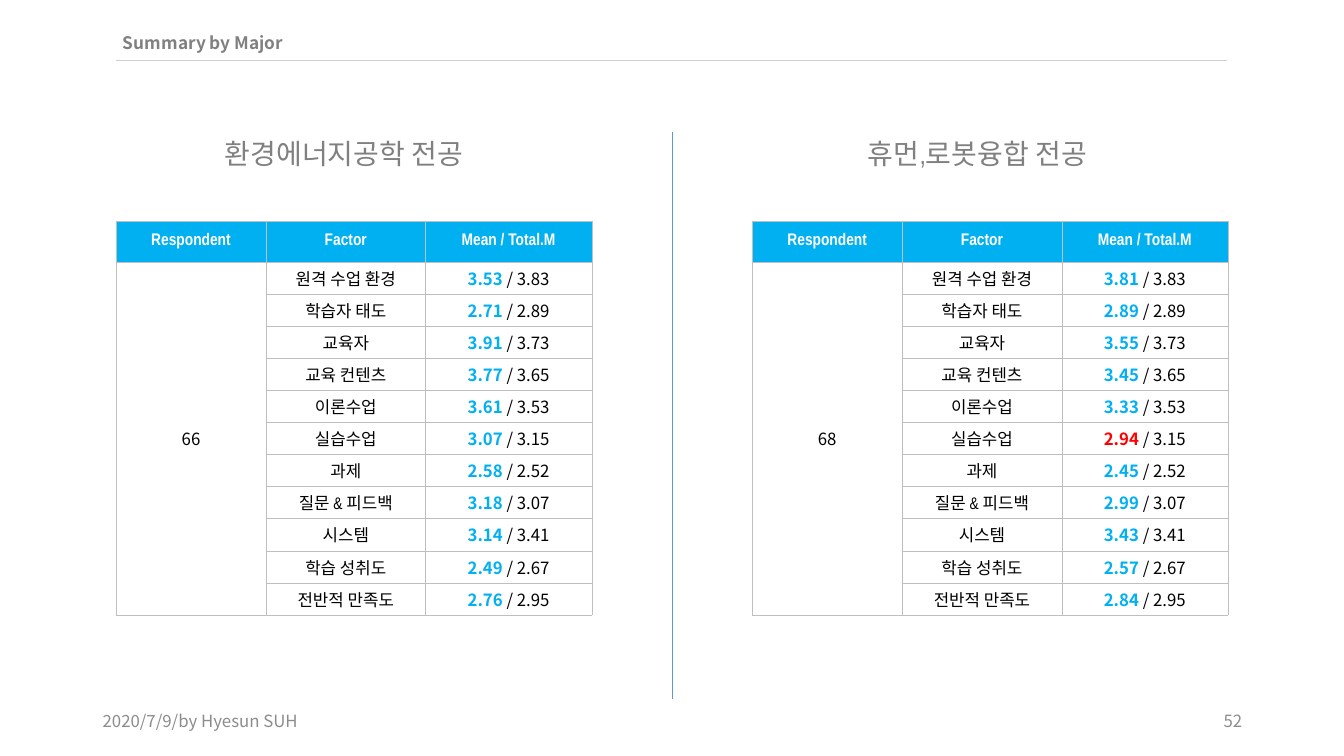
from lxml.etree import SubElement
from pptx import Presentation
from pptx.dml.color import RGBColor
from pptx.enum.shapes import MSO_CONNECTOR
from pptx.enum.text import MSO_ANCHOR, PP_ALIGN
from pptx.oxml.ns import qn
from pptx.util import Inches, Pt

WHITE = RGBColor(0xFF, 0xFF, 0xFF)
BLACK = RGBColor(0x00, 0x00, 0x00)
GRAY = RGBColor(0x80, 0x80, 0x80)
FOOTER_GRAY = RGBColor(0x8C, 0x8C, 0x8C)
RULE_GRAY = RGBColor(0xD0, 0xCE, 0xCE)
BORDER_GRAY = RGBColor(0xBF, 0xBF, 0xBF)
DIVIDER_BLUE = RGBColor(0x5B, 0x9B, 0xD5)
SKY_BLUE = RGBColor(0x00, 0xB0, 0xF0)
RED = RGBColor(0xFF, 0x00, 0x00)
SANS = "Noto Sans CJK KR"
NARROW = "Arial Narrow"

HEADINGS = ["Respondent", "Factor", "Mean / Total.M"]
COLUMN_WIDTHS = [1.49, 1.58, 1.65]
FACTORS = ["원격 수업 환경", "학습자 태도", "교육자", "교육 컨텐츠", "이론수업", "실습수업",
           "과제", "질문 & 피드백", "시스템", "학습 성취도", "전반적 만족도"]
TOTAL_MEANS = ["3.83", "2.89", "3.73", "3.65", "3.53", "3.15",
               "2.52", "3.07", "3.41", "2.67", "2.95"]
# Table left edge, respondents, factor means, means shown in red
MAJORS = [
    (1.15, "66", ["3.53", "2.71", "3.91", "3.77", "3.61", "3.07",
                  "2.58", "3.18", "3.14", "2.49", "2.76"], []),
    (7.46, "68", ["3.81", "2.89", "3.55", "3.45", "3.33", "2.94",
                  "2.45", "2.99", "3.43", "2.57", "2.84"], ["2.94"]),
]
# Left, top, width, height, text, size, font, colour, bold, alignment, anchor, side and top insets
TEXTS = [
    (1.15, 0.29, 6.7, 0.28, "Summary by Major", 12.3, SANS, GRAY, True,
     PP_ALIGN.LEFT, MSO_ANCHOR.TOP, 0.07, 0.03),
    (2.13, 1.31, 2.77, 0.44, "환경에너지공학 전공", 20, NARROW, GRAY, False,
     PP_ALIGN.LEFT, MSO_ANCHOR.TOP, 0.1, 0.05),
    (8.51, 1.31, 2.6, 0.44, "휴먼,로봇융합 전공", 20, NARROW, GRAY, False,
     PP_ALIGN.LEFT, MSO_ANCHOR.TOP, 0.1, 0.05),
    (0.92, 6.95, 3, 0.4, "2020/7/9/by Hyesun SUH", 12, SANS, FOOTER_GRAY, False,
     PP_ALIGN.LEFT, MSO_ANCHOR.MIDDLE, 0.1, 0.05),
    (9.42, 6.95, 3, 0.4, "52", 12, SANS, FOOTER_GRAY, False,
     PP_ALIGN.RIGHT, MSO_ANCHOR.MIDDLE, 0.1, 0.05),
]
LINES = [(1.15, 0.6, 12.17, 0.6, RULE_GRAY), (6.67, 6.93, 6.67, 1.31, DIVIDER_BLUE)]


def style_paragraph(para, align, size, name, color, bold):
    para.alignment = align
    para.font.size = Pt(size)
    para.font.name = name
    para.font.color.rgb = color
    para.font.bold = bold


def style_cell(cell, fill, name, color, bold):
    """Draw the cell's borders and fill, then centre and style its text."""
    properties = cell._tc.get_or_add_tcPr()
    for side in ("a:lnL", "a:lnR", "a:lnT", "a:lnB"):
        border = SubElement(properties, qn(side), w=str(Pt(0.25)))
        solid = SubElement(border, qn("a:solidFill"))
        SubElement(solid, qn("a:srgbClr"), val=str(BORDER_GRAY))
    cell.fill.solid()
    cell.fill.fore_color.rgb = fill
    cell.vertical_anchor = MSO_ANCHOR.MIDDLE
    cell.margin_top = cell.margin_bottom = Inches(0.02)
    style_paragraph(cell.text_frame.paragraphs[0], PP_ALIGN.CENTER, 12, name, color, bold)


deck = Presentation()
deck.slide_width = Inches(13.33)
deck.slide_height = Inches(7.5)
page = deck.slides.add_slide(deck.slide_layouts[6])

for left, top, width, height, text, size, name, color, bold, align, anchor, side, edge in TEXTS:
    box = page.shapes.add_textbox(Inches(left), Inches(top), Inches(width), Inches(height))
    frame = box.text_frame
    frame.word_wrap = True
    frame.vertical_anchor = anchor
    frame.margin_left = frame.margin_right = Inches(side)
    frame.margin_top = frame.margin_bottom = Inches(edge)
    frame.text = text
    style_paragraph(frame.paragraphs[0], align, size, name, color, bold)

for x1, y1, x2, y2, color in LINES:
    line = page.shapes.add_connector(
        MSO_CONNECTOR.STRAIGHT, Inches(x1), Inches(y1), Inches(x2), Inches(y2))
    line.line.color.rgb = color
    line.line.width = Pt(0.5)
    SubElement(line._element.spPr, qn("a:effectLst"))

for left, respondents, means, low_means in MAJORS:
    table = page.shapes.add_table(
        len(FACTORS) + 1, len(HEADINGS), Inches(left), Inches(2.19),
        Inches(sum(COLUMN_WIDTHS)), Inches(3.91)).table
    for column, width in zip(table.columns, COLUMN_WIDTHS):
        column.width = Inches(width)
    for row in table.rows:
        row.height = Inches(3.5 / len(FACTORS))
    table.rows[0].height = Inches(0.41)

    for column, heading in enumerate(HEADINGS):
        table.cell(0, column).text = heading
        style_cell(table.cell(0, column), SKY_BLUE, NARROW, WHITE, True)

    table.cell(1, 0).merge(table.cell(len(FACTORS), 0))
    table.cell(1, 0).text = respondents
    for row, (factor, mean, total) in enumerate(zip(FACTORS, means, TOTAL_MEANS), 1):
        table.cell(row, 1).text = factor
        para = table.cell(row, 2).text_frame.paragraphs[0]
        span = para.add_run()
        span.text = mean
        span.font.bold = True
        span.font.color.rgb = RED if mean in low_means else SKY_BLUE
        para.add_run().text = f" / {total}"
        for column, name in enumerate([SANS, SANS if row == 1 else NARROW, SANS]):
            style_cell(table.cell(row, column), WHITE, name, BLACK, False)

deck.save("out.pptx")
